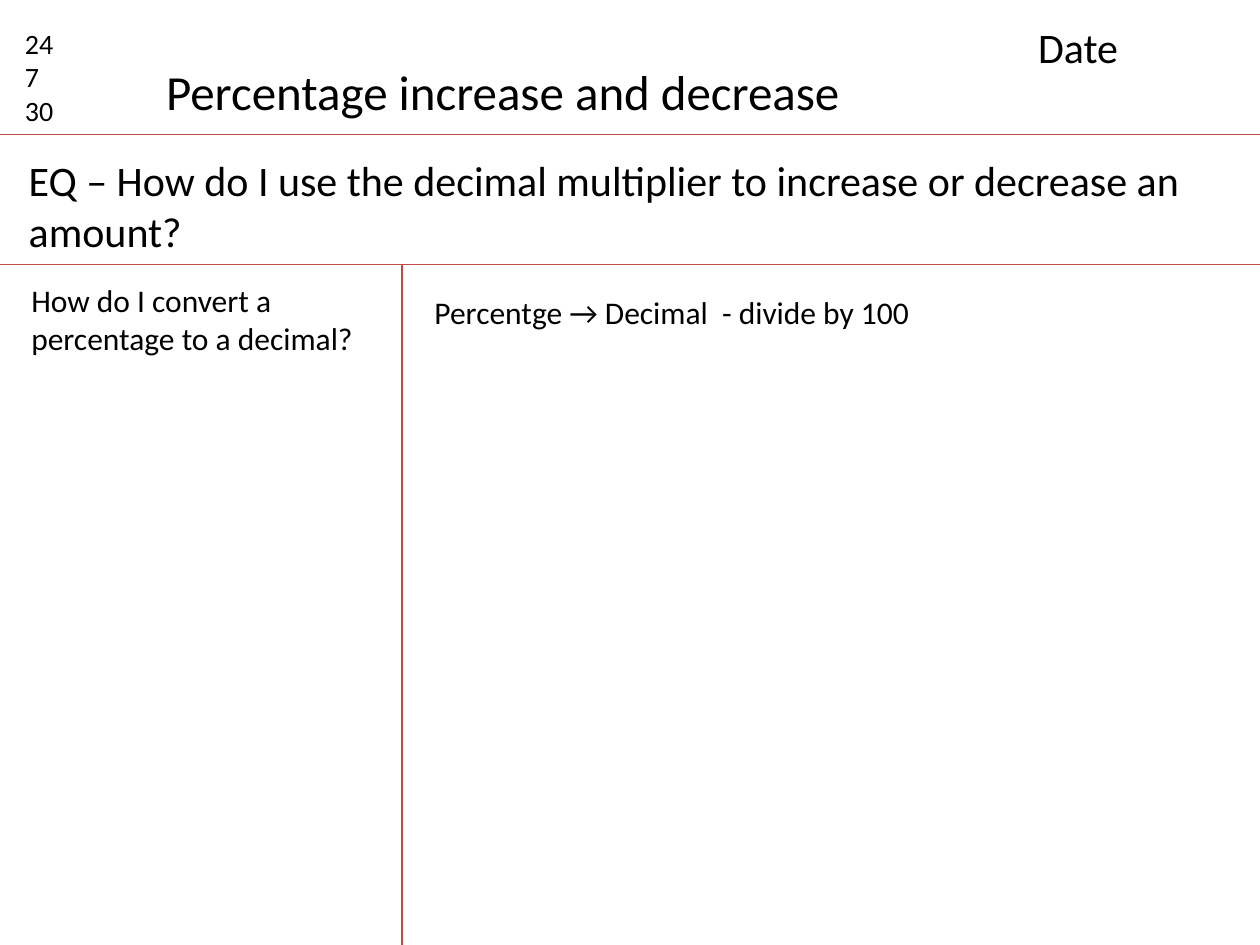
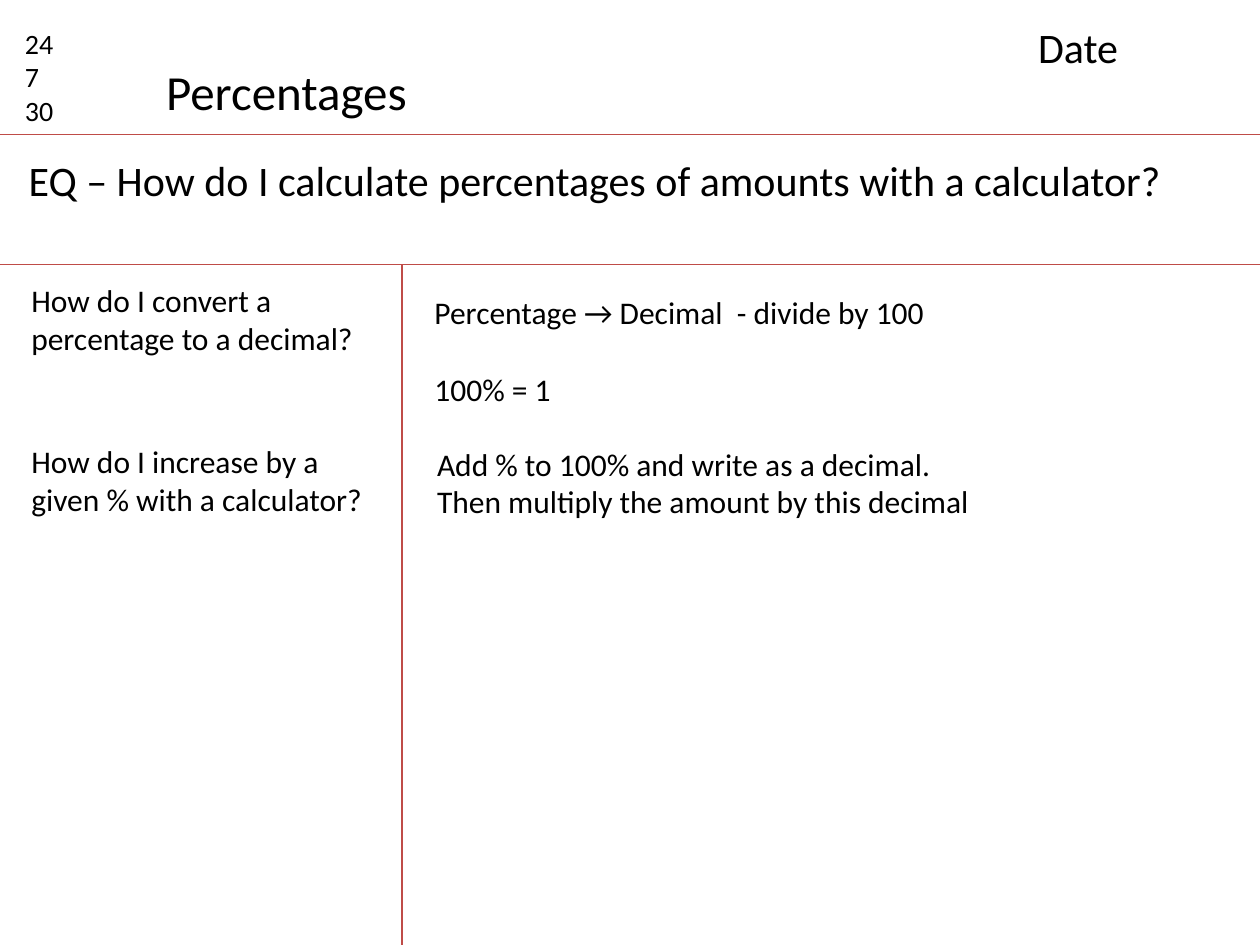
from lxml import etree
from pptx import Presentation
from pptx.dml.color import RGBColor
from pptx.enum import shapes, text
from pptx.oxml.ns import qn
from pptx.util import Inches, Pt

RULE = RGBColor(0xBF, 0x4C, 0x48)
INK = RGBColor(0x00, 0x00, 0x00)
FONT = "Calibri"
SLIDE_W, SLIDE_H = 10, 7.5
HEADER_BOTTOM, QUESTION_BOTTOM = 1.07, 2.1
MARGIN_X = 3.19
BLANK_LINE = 22  # points, one line of 18 pt text


def add_rule(slide, x1, y1, x2, y2):
    line = slide.shapes.add_connector(
        shapes.MSO_CONNECTOR.STRAIGHT, *map(Inches, (x1, y1, x2, y2)))
    line.line.color.rgb = RULE
    line.line.width = Pt(0.75)
    etree.SubElement(line._element.spPr, qn("a:effectLst"))


def add_text(slide, box, lines, size, gap=0, wrap=True):
    """Write one paragraph per line, with gap points between them."""
    tf = slide.shapes.add_textbox(*map(Inches, box)).text_frame
    tf.word_wrap = wrap
    tf.auto_size = text.MSO_AUTO_SIZE.SHAPE_TO_FIT_TEXT
    for i, line in enumerate(lines):
        p = tf.add_paragraph() if i else tf.paragraphs[0]
        if i and gap:
            p.space_before = Pt(gap)
        r = p.add_run()
        r.text = line
        r.font.name = FONT
        r.font.size = Pt(size)
        r.font.color.rgb = INK


def add_header(slide, title, title_w):
    add_rule(slide, 0, HEADER_BOTTOM, SLIDE_W, HEADER_BOTTOM)
    add_text(slide, (0.1, 0.16, 0.63, 0.91), ["24", "7", "30"], 16)
    add_text(slide, (1.22, 0.44, title_w, 0.57), [title], 28, wrap=False)
    add_text(slide, (8.14, 0.12, 1.73, 0.5), ["Date"], 24)


def add_essential_question(slide, question, height):
    add_rule(slide, 0, QUESTION_BOTTOM, SLIDE_W, QUESTION_BOTTOM)
    add_text(slide, (0.13, HEADER_BOTTOM + 0.11, 9.43, height),
             [f"EQ – {question}"], 24)


def add_notes_page(prs, title, title_w, question, question_h):
    """Add a two-column note-taking page: cues on the left, notes on the right."""
    slide = prs.slides.add_slide(prs.slide_layouts[6])
    add_header(slide, title, title_w)
    add_essential_question(slide, question, question_h)
    add_rule(slide, MARGIN_X, QUESTION_BOTTOM, MARGIN_X, SLIDE_H)
    add_cue(slide, 2.18, 2.76, 1.01, "How do I convert a percentage to a decimal?")
    return slide


def add_cue(slide, top, width, height, cue):
    add_text(slide, (0.15, top, width, height), [cue], 18)


def add_notes(slide, left, top, width, height, lines, **style):
    add_text(slide, (left, top, width, height), lines, 18, **style)


def main():
    prs = Presentation()
    prs.slide_width, prs.slide_height = Inches(SLIDE_W), Inches(SLIDE_H)

    slide = add_notes_page(
        prs, "Percentage increase and decrease", 5.69,
        "How do I use the decimal multiplier to increase or decrease an amount?", 0.91)
    add_notes(slide, 3.35, 2.28, 4.47, 0.4, ["Percentge → Decimal  - divide by 100"])

    slide = add_notes_page(
        prs, "Percentages", 2.13,
        "How do I calculate percentages of amounts with a calculator?", 0.5)
    add_notes(slide, 3.35, 2.28, 4.47, 1.01,
              ["Percentage → Decimal  - divide by 100", "100% = 1"], gap=BLANK_LINE)
    add_cue(slide, 3.46, 2.88, 0.71, "How do I increase by a given % with a calculator?")
    add_notes(slide, 3.37, 3.48, 4.48, 1.01,
              ["Add % to 100% and write as a decimal.",
               "Then multiply the amount by this decimal"], wrap=False)

    prs.save("out.pptx")


if __name__ == "__main__":
    main()
